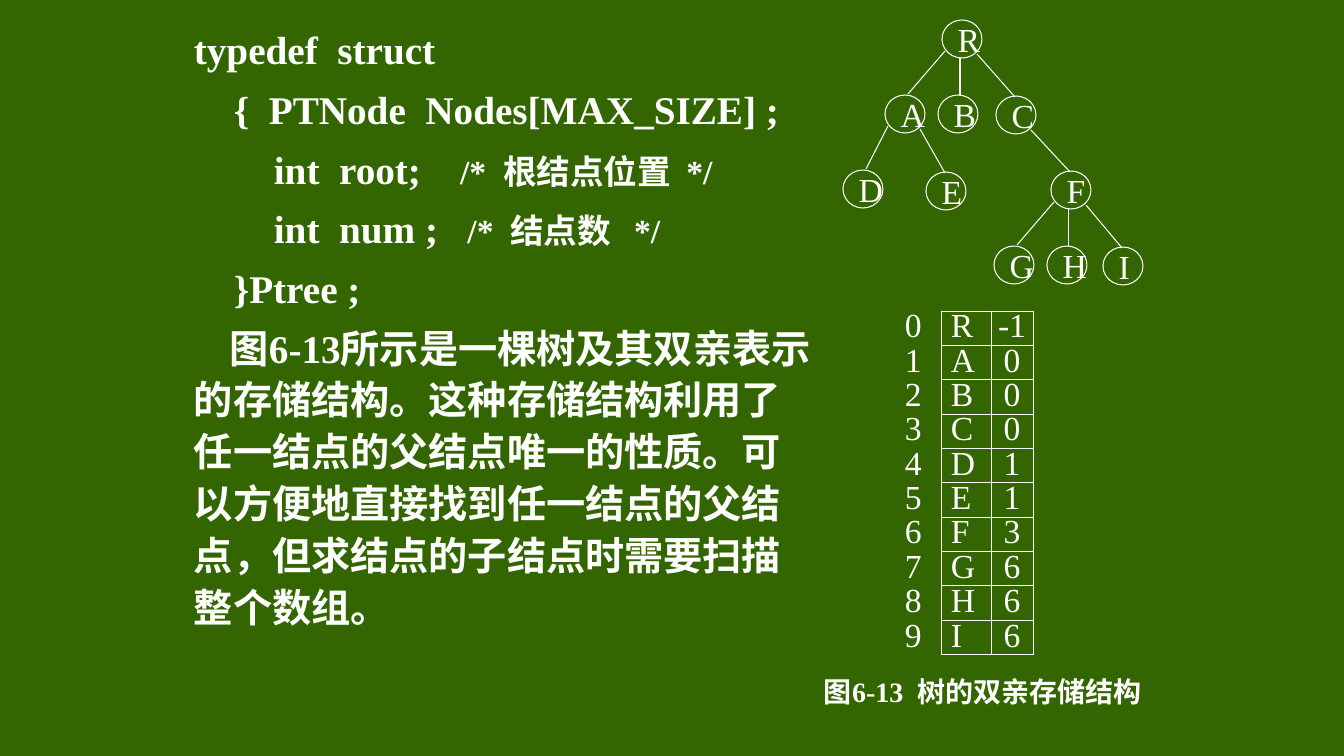
"""Build the slide on parent-array storage of a tree."""
from lxml import etree
from pptx import Presentation, util as u
from pptx.dml.color import RGBColor
from pptx.enum import shapes, text
from pptx.oxml import parse_xml
from pptx.oxml.ns import nsdecls, qn

PX = 914400 * 5 // 504
WHITE, GREEN = "FFFFFF", "336600"


def rgb(value):
    return RGBColor.from_string(value)


def add_text(p, content, size=24, bold=False, align=text.PP_ALIGN.LEFT):
    p.alignment = align
    r = p.add_run()
    r.text = content
    r.font.size, r.font.bold = u.Pt(size), bold
    r.font.name = "Times New Roman"
    r.font.color.rgb = rgb(WHITE)
    etree.SubElement(r.font._element, qn("a:ea"), typeface="Noto Sans CJK SC")


prs = Presentation()
prs.slide_width, prs.slide_height = 1344 * PX, 756 * PX
s = prs.slides.add_slide(prs.slide_layouts[6])
s.background.fill.solid()
s.background.fill.fore_color.rgb = rgb(GREEN)

paragraphs = [
    (0, 0, [("typedef  struct", 28)]),
    (40, 0, [("{  PTNode  Nodes[MAX_SIZE] ;", 28)]),
    (80, 0, [("int  root;    ", 28), ("/*  根结点位置  */", 24)]),
    (80, 0, [("int  num ;   ", 28), ("/*  结点数   */", 24)]),
    (40, 0, [("}Ptree ;", 28)]),
    (0, 36, [("图6-13所示是一棵树及其双亲表示的存储结构。"
              "这种存储结构利用了任一结点的父结点唯一的性质。"
              "可以方便地直接找到任一结点的父结点，"
              "但求结点的子结点时需要扫描整个数组。", 28)]),
]
tf = s.shapes.add_textbox(184 * PX, 16 * PX, 638 * PX, 627 * PX).text_frame
tf.word_wrap = True
for i, (margin, indent, runs) in enumerate(paragraphs):
    p = tf.add_paragraph() if i else tf.paragraphs[0]
    p.line_spacing = u.Pt(37)
    p.space_before = u.Pt(5.6 if i else 0)
    pPr = p._p.get_or_add_pPr()
    pPr.set("marL", str(margin * PX))
    pPr.set("indent", str(indent * PX))
    for content, size in runs:
        add_text(p, content, size=size, bold=True)

nodes = {
    "R": (942, 20), "A": (885, 95), "B": (938, 95), "C": (996, 96),
    "D": (843, 170), "E": (926, 172), "F": (1051, 171),
    "G": (994, 246), "H": (1047, 246), "I": (1103, 247),
}
for name, (x, y) in nodes.items():
    sp = s.shapes.add_shape(shapes.MSO_SHAPE.OVAL, x * PX, y * PX, 40 * PX, 38 * PX)
    sp.shadow.inherit = False
    sp.fill.background()
    sp.line.color.rgb = rgb(WHITE)
    sp.line.width = u.Pt(0.75)
    tf = sp.text_frame
    tf.word_wrap = False
    tf.vertical_anchor = text.MSO_ANCHOR.MIDDLE
    add_text(tf.paragraphs[0], name)

branch_ends = {
    "left": (3, 31, 23, -1),
    "middle": (18, 38, 22, 0),
    "right": (35, 34, 19, 1),
}
branches = [
    ("R", "A", "left"), ("R", "B", "middle"), ("R", "C", "right"),
    ("A", "D", "left"), ("A", "E", "right"), ("C", "F", "right"),
    ("F", "G", "left"), ("F", "H", "middle"), ("F", "I", "right"),
]
for parent, child, side in branches:
    (px, py), (cx, cy) = nodes[parent], nodes[child]
    dx1, dy1, dx2, dy2 = branch_ends[side]
    branch = s.shapes.add_connector(
        shapes.MSO_CONNECTOR.STRAIGHT, (px + dx1) * PX, (py + dy1) * PX,
        (cx + dx2) * PX, (cy + dy2) * PX)
    branch.line.color.rgb = rgb(WHITE)
    branch.line.width = u.Pt(0.75)
    etree.SubElement(branch._element.spPr, qn("a:effectLst"))

parents = [-1, 0, 0, 0, 1, 1, 3, 6, 6, 6]
widths = [46, 50, 42]
table = s.shapes.add_table(len(nodes), len(widths), 895 * PX, 311 * PX,
                           sum(widths) * PX, 344 * PX).table
table.first_row = table.horz_banding = False
for column, width in zip(table.columns, widths):
    column.width = width * PX
for i, (name, parent) in enumerate(zip(nodes, parents)):
    table.rows[i].height = 344 * PX // len(nodes)
    for j, content in enumerate([i, name, parent]):
        cell = table.cell(i, j)
        cell.fill.background()
        cell.vertical_anchor = text.MSO_ANCHOR.MIDDLE
        cell.margin_top = cell.margin_bottom = cell.margin_right = 0
        cell.margin_left = 0 if j == 2 else 10 * PX
        p = cell.text_frame.paragraphs[0]
        p.line_spacing = u.Pt(24)
        add_text(p, str(content),
                 align=text.PP_ALIGN.CENTER if j == 2 else text.PP_ALIGN.LEFT)
        tcPr = cell._tc.get_or_add_tcPr()
        for k, edge in enumerate(["lnL", "lnR", "lnT", "lnB"]):
            paint = "<a:noFill/>"
            if j or edge == "lnR":
                paint = f'<a:solidFill><a:srgbClr val="{WHITE}"/></a:solidFill>'
            tcPr.insert(k, parse_xml(
                f'<a:{edge} {nsdecls("a")} w="9525">{paint}</a:{edge}>'))

tf = s.shapes.add_textbox(814 * PX, 672 * PX, 350 * PX, 39 * PX).text_frame
tf.word_wrap = False
tf.vertical_anchor = text.MSO_ANCHOR.MIDDLE
add_text(tf.paragraphs[0], "图6-13  树的双亲存储结构", size=20, bold=True)

prs.save("out.pptx")
